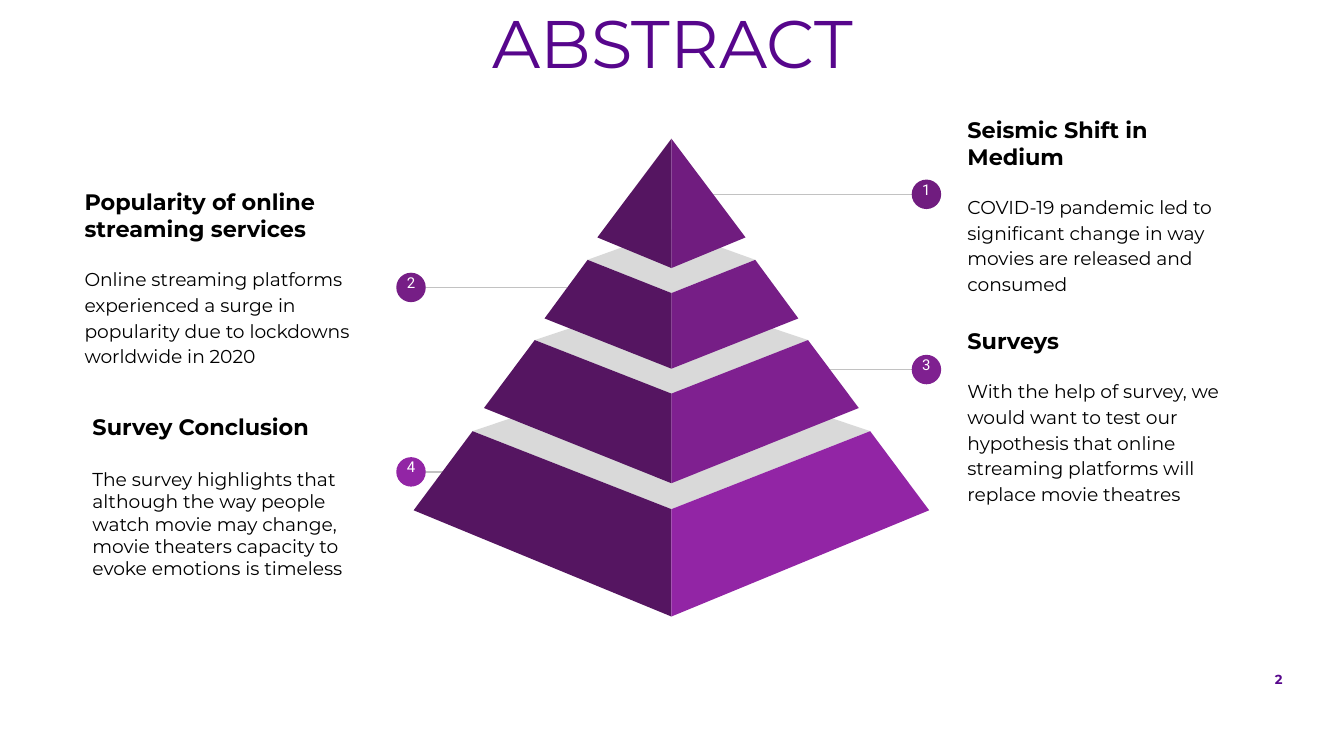
from lxml.etree import SubElement
from pptx import Presentation
from pptx.dml.color import RGBColor
from pptx.enum.shapes import MSO_CONNECTOR, MSO_SHAPE
from pptx.enum.text import PP_ALIGN
from pptx.oxml.ns import qn
from pptx.util import Pt

BLACK = RGBColor(0x00, 0x00, 0x00)
WHITE = RGBColor(0xFF, 0xFF, 0xFF)
VIOLET = RGBColor(0x57, 0x06, 0x8C)
SHADE = RGBColor(0x55, 0x15, 0x61)
GRAY = RGBColor(0xD9, 0xD9, 0xD9)
RULE = RGBColor(0xC2, 0xC2, 0xC2)
TONES = [
    RGBColor(0x70, 0x1C, 0x7F),
    RGBColor(0x76, 0x1E, 0x86),
    RGBColor(0x7F, 0x20, 0x90),
    RGBColor(0x92, 0x25, 0xA5),
]

CENTER = 359.7
LEFT, RIGHT = 220.2, 496.3
DOT = 15.8

# inner y, shoulder half width, shoulder y, base half width, base y, bottom y
TIERS = [
    (74.3, 0, 74.3, 39.7, 127.2, 143.6),
    (157, 44.9, 139.2, 68, 170.6, 197.5),
    (210.9, 73.2, 182.2, 100.4, 218.6, 258.9),
    (272.8, 106.5, 231, 138.1, 273.4, 330.3),
]
BACKS = [123, 157.7, 195.2]

# number, dot x, y, inner end of line
MARKS = [
    (1, RIGHT, 104.1, 380.9),
    (2, LEFT, 154, 303.8),
    (3, RIGHT, 198, 442.8),
    (4, LEFT, 252.8, 303.8),
]

# left, top, heading, body, line spacing, gap
NOTES = [
    (511.2, 55.1, "Seismic Shift in Medium",
     "COVID-19 pandemic led to significant change in way movies are "
     "released and consumed", 1.15, 12),
    (38.2, 93.7, "Popularity of online streaming services",
     "Online streaming platforms experienced a surge in popularity due to "
     "lockdowns worldwide in 2020", 1.15, 12),
    (511.2, 168.2, "Surveys",
     "With the help of survey, we would want to test our hypothesis that "
     "online streaming platforms will replace movie theatres", 1.15, 12),
    (42.5, 214.3, "Survey Conclusion",
     "The survey highlights that although the way people watch movie may "
     "change, movie theaters capacity to evoke emotions is timeless", 1, 14.6),
]


def add_box(slide, x, y, width, height):
    box = slide.shapes.add_textbox(Pt(x), Pt(y), Pt(width), Pt(height))
    frame = box.text_frame
    frame.word_wrap = True
    frame.margin_left = frame.margin_right = Pt(7.2)
    frame.margin_top = frame.margin_bottom = Pt(7.2)
    return frame


def set_text(para, text, size, color, bold=False, face="Montserrat",
             align=PP_ALIGN.LEFT):
    para.text = text
    para.alignment = align
    font = para.font
    font.name = face
    font.size = Pt(size)
    font.bold = bold
    font.color.rgb = color


def paint(shape, color):
    shape.shadow.inherit = False
    shape.fill.solid()
    shape.fill.fore_color.rgb = color
    shape.line.fill.background()


def add_face(slide, points, color):
    spots = [(Pt(CENTER + x), Pt(y)) for x, y in points]
    build = slide.shapes.build_freeform(*spots[0])
    build.add_line_segments(spots[1:], close=True)
    paint(build.convert_to_shape(), color)


def add_tiers(slide):
    for back, (inner, half, top, *_) in zip(BACKS, TIERS[1:]):
        add_face(slide, [(-half, top), (0, inner), (half, top), (0, back)], GRAY)
    for tone, (inner, half, top, base, low, end) in zip(TONES, TIERS):
        for side, color in ((-1, SHADE), (1, tone)):
            points = [(0, inner), (side * base, low), (0, end)]
            if half:
                points.insert(1, (side * half, top))
            add_face(slide, points, color)


def add_mark(slide, number, x, y, end):
    line = slide.shapes.add_connector(
        MSO_CONNECTOR.STRAIGHT, Pt(end), Pt(y), Pt(x), Pt(y))
    line.line.color.rgb = RULE
    line.line.width = Pt(0.75)
    SubElement(line._element.spPr, qn("a:effectLst"))
    dot = slide.shapes.add_shape(
        MSO_SHAPE.OVAL, Pt(x - DOT / 2), Pt(y - DOT / 2), Pt(DOT), Pt(DOT))
    paint(dot, TONES[number - 1])
    frame = add_box(slide, x - 9.7, y - 12.4, 19.4, 24.5)
    set_text(frame.paragraphs[0], str(number), 8, WHITE, face="Roboto",
             align=PP_ALIGN.CENTER)


def add_note(slide, x, y, head, body, space, gap):
    frame = add_box(slide, x, y, 163.4, 112)
    set_text(frame.paragraphs[0], head, 12, BLACK, bold=True)
    para = frame.add_paragraph()
    set_text(para, body, 10, BLACK)
    para.line_spacing = space
    para.space_before = Pt(gap)


def main():
    deck = Presentation()
    deck.slide_width, deck.slide_height = Pt(720), Pt(405)
    slide = deck.slides.add_slide(deck.slide_layouts[6])

    title = add_box(slide, 24.5, 0, 671.8, 56.2).paragraphs[0]
    set_text(title, "ABSTRACT", 36, VIOLET, align=PP_ALIGN.CENTER)
    title.line_spacing = 0.85

    for mark in MARKS:
        add_mark(slide, *mark)
    add_tiers(slide)
    for note in NOTES:
        add_note(slide, *note)

    page = add_box(slide, 363.6, 355.7, 330.5, 24.5).paragraphs[0]
    set_text(page, "2", 7, VIOLET, bold=True, align=PP_ALIGN.RIGHT)
    deck.save("out.pptx")


if __name__ == "__main__":
    main()
